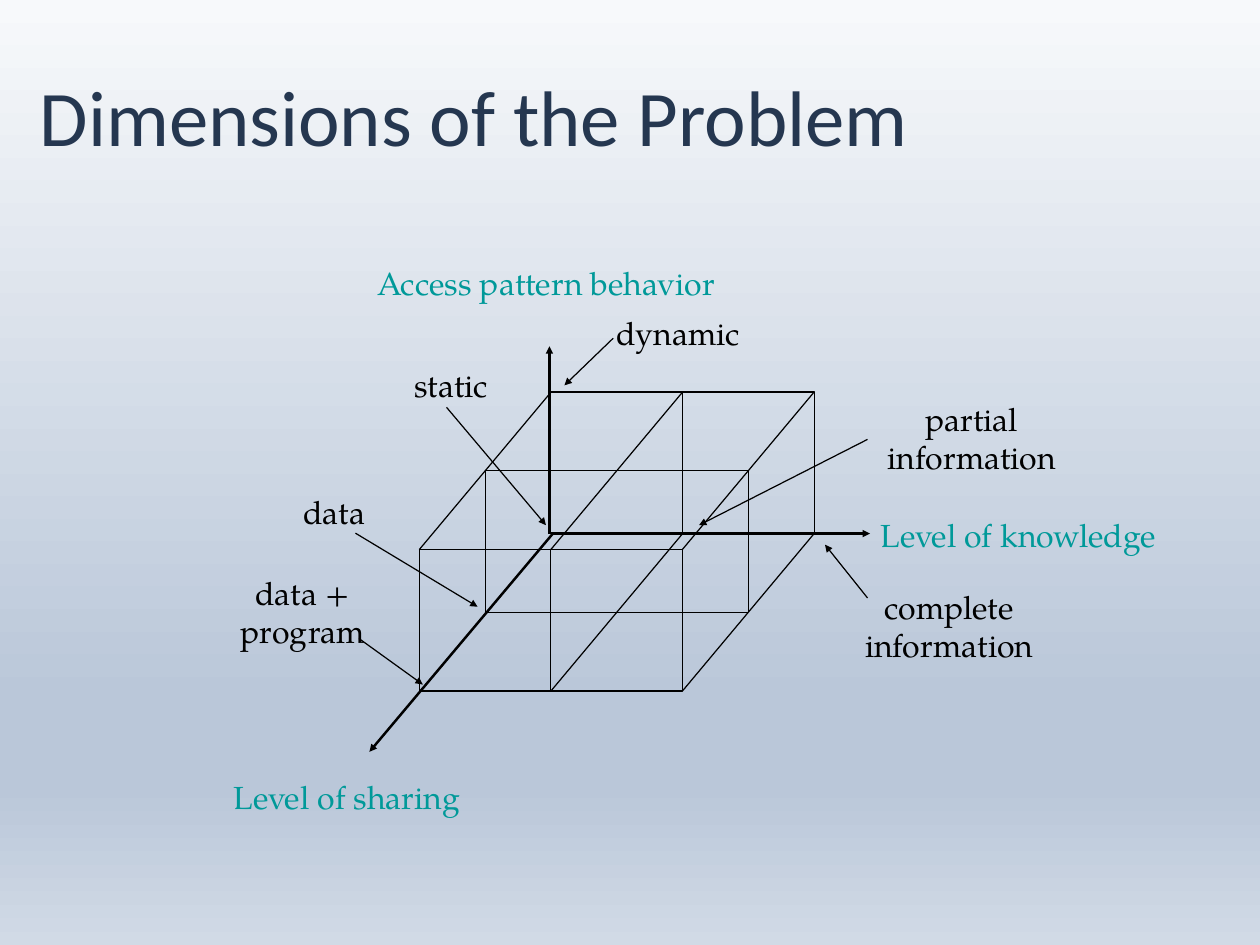
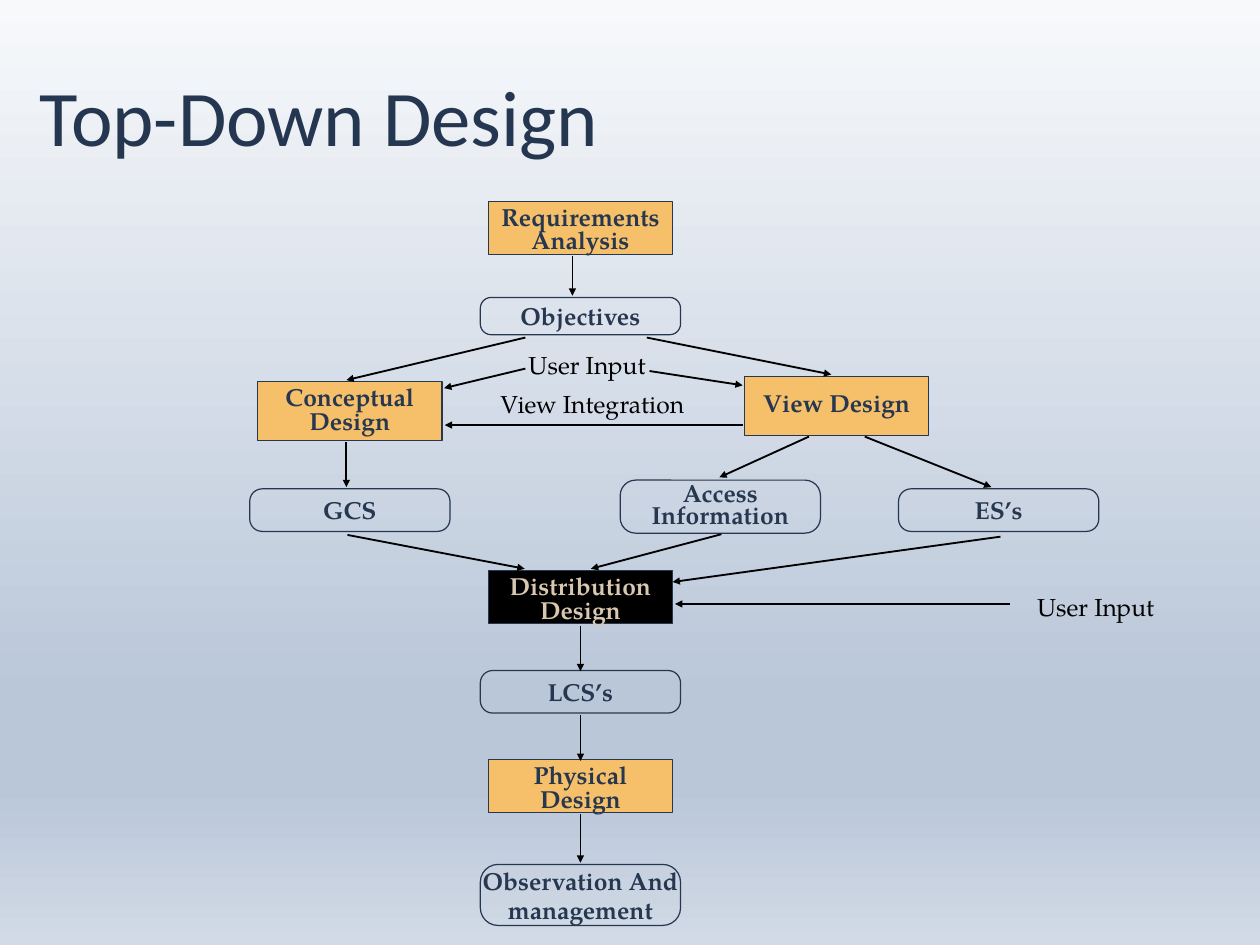
import dataclasses
import typing

import lxml.etree
import pptx
import pptx.dml.color
import pptx.enum.shapes
import pptx.enum.text
import pptx.oxml.ns
import pptx.util

Cm = pptx.util.Cm
Pt = pptx.util.Pt
RGBColor = pptx.dml.color.RGBColor
Anchor = pptx.enum.text.MSO_ANCHOR
Align = pptx.enum.text.PP_ALIGN
Preset = pptx.enum.shapes.MSO_SHAPE
qn = pptx.oxml.ns.qn

BLACK = RGBColor(0x00, 0x00, 0x00)
TITLE_NAVY = RGBColor(0x25, 0x37, 0x50)
BOX_NAVY = RGBColor(0x26, 0x37, 0x50)
TEAL = RGBColor(0x00, 0x99, 0x99)
ORANGE = RGBColor(0xF6, 0xBF, 0x69)
SAND = RGBColor(0xD9, 0xC8, 0xAF)
BACKGROUND_STOPS = (
    (0, RGBColor(0xF7, 0xF9, 0xFB)),
    (74, RGBColor(0xBA, 0xC7, 0xD9)),
    (83, RGBColor(0xBA, 0xC7, 0xD9)),
    (100, RGBColor(0xD1, 0xDA, 0xE6)),
)
TITLE_FONT = "Calibri"
BODY_FONT = "TeX Gyre Pagella"

Point = tuple[float, float]


@dataclasses.dataclass(frozen=True)
class TextStyle:
    size: int
    color: RGBColor = BLACK
    font: str = BODY_FONT
    bold: bool = False
    align: Align = Align.CENTER
    anchor: Anchor = Anchor.TOP
    line_spacing: float = 1.0
    side_inset: float = 0.36
    end_inset: float = 0.18


@dataclasses.dataclass(frozen=True)
class BoxStyle:
    preset: Preset
    width: float
    fill: typing.Optional[RGBColor]
    text: TextStyle


class Label(typing.NamedTuple):
    text: str
    left: float
    top: float
    width: float
    height: float
    style: TextStyle
    wrap: bool = False


class Box(typing.NamedTuple):
    text: str
    center: float
    top: float
    height: float
    style: BoxStyle


class Line(typing.NamedTuple):
    start: Point
    end: Point


TITLE_TEXT = TextStyle(64, TITLE_NAVY, TITLE_FONT, align=Align.LEFT, anchor=Anchor.MIDDLE,
                       line_spacing=0.9, side_inset=0.15, end_inset=0.15)
AXIS_TEXT = TextStyle(26, TEAL, line_spacing=0.85, side_inset=0.25, end_inset=0.1)
VALUE_TEXT = TextStyle(26)
FLOW_TEXT = TextStyle(20)
PROCESS_TEXT = TextStyle(20, BOX_NAVY, bold=True, line_spacing=0.8)
RESULT_TEXT = TextStyle(20, BOX_NAVY, bold=True, anchor=Anchor.MIDDLE)
TIGHT_TEXT = dataclasses.replace(RESULT_TEXT, line_spacing=0.75, end_inset=0)

PROCESS = BoxStyle(Preset.RECTANGLE, 5.28, ORANGE, PROCESS_TEXT)
CENTERED_PROCESS = dataclasses.replace(
    PROCESS, text=dataclasses.replace(PROCESS_TEXT, anchor=Anchor.MIDDLE))
KEY_PROCESS = dataclasses.replace(
    PROCESS, fill=BLACK, text=dataclasses.replace(PROCESS_TEXT, color=SAND))
RESULT = BoxStyle(Preset.ROUNDED_RECTANGLE, 5.74, None, RESULT_TEXT)
TIGHT_RESULT = dataclasses.replace(RESULT, text=TIGHT_TEXT)

# Cube: back lower left corner, and the vectors of half its width, half its depth and its height
CORNER = (15.8, 15.3)
ACROSS = (3.77, 0)
DEPTH = (-1.89, 2.26)
UP = (0, -4.06)

AXES = (
    Line((15.75, 15.3), (15.75, 9.93)),
    Line((15.8, 15.3), (24.94, 15.3)),
    Line((15.85, 15.3), (10.59, 21.56)),
)
POINTERS = (
    Line((17.58, 9.7), (16.18, 11.05)),
    Line((12.8, 11.68), (15.65, 15.06)),
    Line((24.87, 12.6), (20.04, 15.06)),
    Line((24.87, 17.15), (23.65, 15.62)),
    Line((10.19, 15.29), (13.69, 17.4)),
    Line((10.29, 18.31), (12.12, 19.63)),
)
CUBE_LABELS = (
    Label("Level of sharing", 6.38, 22.38, 7.14, 1.17, AXIS_TEXT),
    Label("Level of knowledge", 24.89, 14.86, 8.61, 1.17, AXIS_TEXT),
    Label("Access pattern behavior", 10.49, 7.62, 10.34, 1.17, AXIS_TEXT),
    Label("partial\ninformation", 24.84, 11.28, 6.05, 2.57, VALUE_TEXT, wrap=True),
    Label("dynamic", 17.3, 8.81, 4.29, 1.47, VALUE_TEXT),
    Label("static", 11.51, 10.29, 2.87, 1.47, VALUE_TEXT),
    Label("data", 8.33, 13.94, 2.51, 1.47, VALUE_TEXT),
    Label("data +\nprogram", 6.53, 16.26, 4.29, 2.57, VALUE_TEXT),
    Label("complete\ninformation", 24.41, 16.66, 5.61, 2.57, VALUE_TEXT),
)

MIDDLE_COLUMN = 16.64
LEFT_COLUMN = 10.03
FLOW_BOXES = (
    Box("Requirements\nAnalysis", MIDDLE_COLUMN, 5.77, 1.52, PROCESS),
    Box("Objectives", MIDDLE_COLUMN, 8.53, 1.07, RESULT),
    Box("Conceptual\nDesign", LEFT_COLUMN, 10.95, 1.68, PROCESS),
    Box("View Design", 23.98, 10.8, 1.68, CENTERED_PROCESS),
    Box("Access\nInformation", 20.65, 13.77, 1.52, TIGHT_RESULT),
    Box("ES’s", 28.63, 14.02, 1.22, RESULT),
    Box("GCS", LEFT_COLUMN, 14.02, 1.22, RESULT),
    Box("Distribution\nDesign", MIDDLE_COLUMN, 16.36, 1.52, KEY_PROCESS),
    Box("LCS’s", MIDDLE_COLUMN, 19.23, 1.22, RESULT),
    Box("Physical\nDesign", MIDDLE_COLUMN, 21.79, 1.52, PROCESS),
    Box("Observation And\nmanagement", MIDDLE_COLUMN, 24.79, 1.75, RESULT),
)
FLOW_LABELS = (
    Label("User Input", 14.76, 9.86, 4.14, 1.22, FLOW_TEXT),
    Label("View Integration", 13.97, 10.97, 6.02, 1.22, FLOW_TEXT),
    Label("User Input", 29.34, 16.79, 4.14, 1.22, FLOW_TEXT),
)
FLOW_ARROWS = (
    Line((16.41, 7.34), (16.41, 8.48)),
    Line((15.06, 9.68), (9.93, 10.9)),
    Line((18.54, 9.68), (23.83, 10.74)),
    Line((15.06, 10.57), (12.73, 11.13)),
    Line((18.62, 10.64), (21.29, 11.05)),
    Line((21.29, 12.19), (12.75, 12.19)),
    Line((9.93, 12.67), (9.93, 13.97)),
    Line((23.19, 12.52), (20.62, 13.69)),
    Line((24.79, 12.52), (28.42, 13.97)),
    Line((9.96, 15.34), (15.04, 16.31)),
    Line((20.68, 15.32), (16.94, 16.31)),
    Line((28.68, 15.39), (19.28, 16.69)),
    Line((28.96, 17.32), (19.35, 17.32)),
    Line((MIDDLE_COLUMN, 17.96), (MIDDLE_COLUMN, 19.25)),
    Line((MIDDLE_COLUMN, 20.5), (MIDDLE_COLUMN, 21.82)),
    Line((MIDDLE_COLUMN, 23.34), (MIDDLE_COLUMN, 24.74)),
)


def set_attributes(target: typing.Any, values: dict[str, typing.Any]) -> None:
    for name, value in values.items():
        setattr(target, name, value)


def write_text(shape, text: str, style: TextStyle, wrap: bool = False) -> None:
    """Fill a shape with one paragraph for each line of the text."""
    frame = shape.text_frame
    frame.text = text
    set_attributes(frame, {
        "word_wrap": wrap,
        "auto_size": pptx.enum.text.MSO_AUTO_SIZE.NONE,
        "vertical_anchor": style.anchor,
        "margin_left": Cm(style.side_inset),
        "margin_right": Cm(style.side_inset),
        "margin_top": Cm(style.end_inset),
        "margin_bottom": Cm(style.end_inset),
    })
    for paragraph in frame.paragraphs:
        set_attributes(paragraph, {"alignment": style.align, "line_spacing": style.line_spacing})
        for run in paragraph.runs:
            set_attributes(run.font, {
                "name": style.font, "size": Pt(style.size), "bold": style.bold})
            run.font.color.rgb = style.color


def set_outline(shape, color: RGBColor, weight: float) -> None:
    shape.line.color.rgb = color
    shape.line.width = Pt(weight)


def draw_label(slide, label: Label) -> None:
    shape = slide.shapes.add_textbox(
        Cm(label.left), Cm(label.top), Cm(label.width), Cm(label.height))
    write_text(shape, label.text, label.style, label.wrap)


def draw_box(slide, box: Box) -> None:
    style = box.style
    shape = slide.shapes.add_shape(
        style.preset, Cm(box.center - style.width / 2), Cm(box.top),
        Cm(style.width), Cm(box.height))
    shape.shadow.inherit = False
    if style.preset == Preset.ROUNDED_RECTANGLE:
        shape.adjustments[0] = 0.29
    if style.fill is None:
        shape.fill.background()
    else:
        shape.fill.solid()
        shape.fill.fore_color.rgb = style.fill
    set_outline(shape, BOX_NAVY, 1)
    write_text(shape, box.text, style.text)


def draw_line(slide, line: Line, weight: float = 1, arrow: bool = False) -> None:
    connector = slide.shapes.add_connector(
        pptx.enum.shapes.MSO_CONNECTOR.STRAIGHT, *(Cm(value) for value in line.start + line.end))
    set_outline(connector, BLACK, weight)
    properties = connector.element.spPr
    if arrow:
        lxml.etree.SubElement(properties.find(qn("a:ln")), qn("a:tailEnd"), type="triangle")
    lxml.etree.SubElement(properties, qn("a:effectLst"))


def draw_open_outline(slide, points: typing.Sequence[Point]) -> None:
    first, *others = [(Cm(x), Cm(y)) for x, y in points]
    builder = slide.shapes.build_freeform(*first)
    builder.add_line_segments(others, close=False)
    shape = builder.convert_to_shape()
    shape.shadow.inherit = False
    shape.fill.background()
    set_outline(shape, BLACK, 1)


def cube_point(across: int, depth: int, up: int) -> Point:
    """Place a cube grid point; across and depth count half edges, up counts whole ones."""
    x, y = (CORNER[axis] + across * ACROSS[axis] + depth * DEPTH[axis] + up * UP[axis]
            for axis in (0, 1))
    return x, y


def draw_cube(slide) -> None:
    draw_open_outline(slide, [cube_point(0, 0, 1), cube_point(2, 0, 1), cube_point(2, 0, 0)])
    draw_open_outline(slide, [cube_point(0, 2, 1), cube_point(2, 2, 1),
                              cube_point(2, 2, 0), cube_point(0, 2, 0)])
    for across, depth in ((0, 1), (2, 1), (0, 2), (1, 0), (1, 2)):
        draw_line(slide, Line(cube_point(across, depth, 0), cube_point(across, depth, 1)))
    for up in (0, 1):
        draw_line(slide, Line(cube_point(0, 1, up), cube_point(2, 1, up)))
    for across, up in ((0, 1), (1, 0), (1, 1), (2, 0), (2, 1)):
        draw_line(slide, Line(cube_point(across, 0, up), cube_point(across, 2, up)))


def set_background(master) -> None:
    fill = master.background.fill
    fill.gradient()
    fill.gradient_angle = 270
    stop_list = master.element.find(".//" + qn("p:bg")).find(".//" + qn("a:gsLst"))
    for stop in list(stop_list):
        stop_list.remove(stop)
    for percent, color in BACKGROUND_STOPS:
        stop = lxml.etree.SubElement(stop_list, qn("a:gs"), pos=str(percent * 1000))
        lxml.etree.SubElement(stop, qn("a:srgbClr"), val=str(color))


def add_titled_slide(presentation, title: str):
    slide = presentation.slides.add_slide(presentation.slide_layouts.get_by_name("Title Only"))
    shape = slide.shapes.title
    set_attributes(shape, {
        "left": Cm(0.99), "top": Cm(1.24), "width": Cm(34.14), "height": Cm(4.47)})
    write_text(shape, title, TITLE_TEXT, wrap=True)
    return slide


def add_dimensions_slide(presentation) -> None:
    slide = add_titled_slide(presentation, "Dimensions of the Problem")
    draw_cube(slide)
    for axis in AXES:
        draw_line(slide, axis, weight=2, arrow=True)
    for pointer in POINTERS:
        draw_line(slide, pointer, arrow=True)
    for label in CUBE_LABELS:
        draw_label(slide, label)


def add_design_slide(presentation) -> None:
    slide = add_titled_slide(presentation, "Top-Down Design")
    for label in FLOW_LABELS:
        draw_label(slide, label)
    for box in FLOW_BOXES:
        draw_box(slide, box)
    for arrow in FLOW_ARROWS:
        draw_line(slide, arrow, weight=1.5, arrow=True)


def main() -> None:
    presentation = pptx.Presentation()
    set_attributes(presentation, {"slide_width": Cm(36.12), "slide_height": Cm(27.1)})
    set_background(presentation.slide_master)
    add_dimensions_slide(presentation)
    add_design_slide(presentation)
    presentation.save("out.pptx")


if __name__ == "__main__":
    main()
